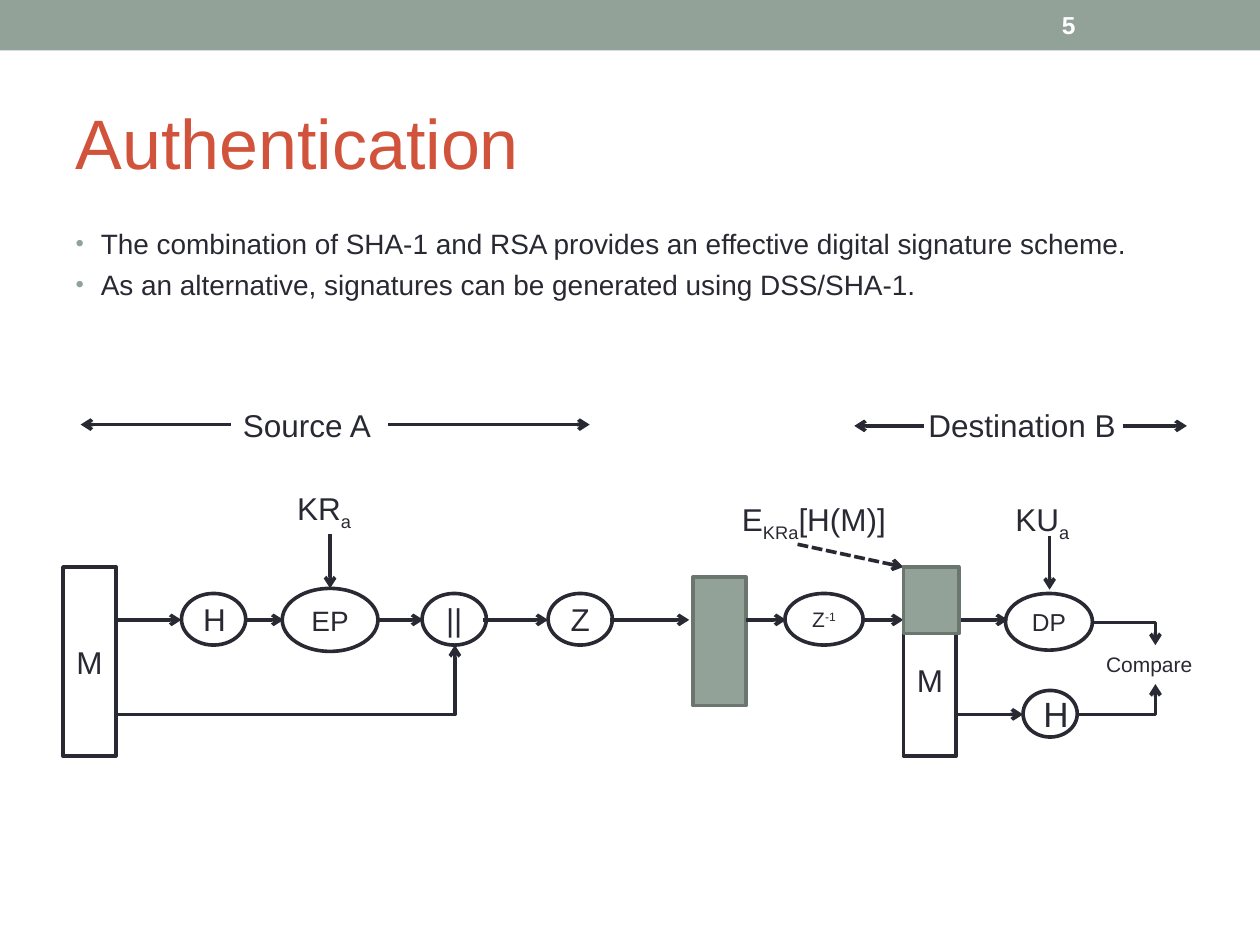
from lxml.etree import SubElement
from pptx import Presentation
from pptx.dml.color import RGBColor
from pptx.enum.dml import MSO_LINE
from pptx.enum.shapes import MSO_CONNECTOR as CONNECTOR, MSO_SHAPE as SHAPE
from pptx.enum.text import MSO_ANCHOR as ANCHOR, MSO_AUTO_SIZE as AUTO_SIZE, PP_ALIGN as ALIGN
from pptx.oxml.ns import qn
from pptx.util import Inches, Pt

INK, SAGE, SAGE_DARK, RUST, WHITE = "292934", "93A299", "6B766F", "D2533C", "FFFFFF"
MAIN_ROW, LOWER_ROW = 4.92, 5.67


def color(hex_text):
    return RGBColor.from_string(hex_text)


class Diagram:
    """Holds the style and the slide being drawn."""

    def __init__(self, page, font="Arial", line_width=2.07):
        self.page = page
        self.font = font
        self.line_width = Pt(line_width)

    def format_runs(self, paragraph, size, ink=INK, bold=False):
        for span in paragraph.runs:
            span.font.name = self.font
            span.font.size = Pt(size)
            span.font.bold = bold
            span.font.color.rgb = color(ink)

    def add_spans(self, paragraph, spans, size, ink=INK, bold=False):
        """Add a string, or (text, baseline percent) pairs, to a paragraph."""
        if isinstance(spans, str):
            spans = [(spans, 0)]
        for text, baseline in spans:
            span = paragraph.add_run()
            span.text = text
            if baseline:
                span.font._element.set("baseline", str(baseline * 1000))
        self.format_runs(paragraph, size, ink, bold)

    def place(self, item, left, top, width, height):
        item.left, item.top = Inches(left), Inches(top)
        item.width, item.height = Inches(width), Inches(height)

    def title(self, text):
        holder = self.page.shapes.title
        self.place(holder, 0.5, 0.58, 9, 1.08)
        frame = holder.text_frame
        frame.text = text
        frame.auto_size = AUTO_SIZE.NONE
        frame.vertical_anchor = ANCHOR.MIDDLE
        frame.paragraphs[0].alignment = ALIGN.LEFT
        self.format_runs(frame.paragraphs[0], 40, RUST)

    def bullets(self, items):
        holder = self.page.placeholders[1]
        self.place(holder, 0.5, 1.75, 9, 5.33)
        frame = holder.text_frame
        frame.text = "\n".join(items)
        frame.auto_size = AUTO_SIZE.NONE
        for paragraph in frame.paragraphs:
            paragraph.space_before = Pt(4)
            self.format_runs(paragraph, 16)
            props = paragraph._p.get_or_add_pPr()
            props.set("marL", str(Inches(0.2)))
            props.set("indent", str(-Inches(0.2)))
            bullet_color = SubElement(props, qn("a:buClr"))
            SubElement(bullet_color, qn("a:srgbClr"), val=SAGE)
            SubElement(props, qn("a:buSzPct"), val="85000")
            SubElement(props, qn("a:buFont"), typeface=self.font)
            SubElement(props, qn("a:buChar"), char="•")

    def node(self, kind, left, top, width, height, spans=None, size=18,
             fill=WHITE, outline=INK, margin_top=0.05):
        box = self.page.shapes.add_shape(
            kind, Inches(left), Inches(top), Inches(width), Inches(height))
        box.shadow.inherit = False
        box.fill.solid()
        box.fill.fore_color.rgb = color(fill)
        if outline:
            box.line.color.rgb = color(outline)
            box.line.width = self.line_width
        else:
            box.line.fill.background()
        if spans:
            frame = box.text_frame
            frame.margin_top = Inches(margin_top)
            frame.vertical_anchor = ANCHOR.MIDDLE
            frame.paragraphs[0].alignment = ALIGN.CENTER
            self.add_spans(frame.paragraphs[0], spans, size)

    def label(self, left, top, width, height, spans, size=18, ink=INK,
              bold=False, anchor=ANCHOR.TOP):
        box = self.page.shapes.add_textbox(
            Inches(left), Inches(top), Inches(width), Inches(height))
        frame = box.text_frame
        frame.word_wrap = True
        frame.vertical_anchor = anchor
        self.add_spans(frame.paragraphs[0], spans, size, ink, bold)

    def arrow(self, x1, y1, x2, y2, bent=False, dashed=False):
        """Draw an arrow; a bent one runs sideways first, then up or down."""
        kind = CONNECTOR.ELBOW if bent else CONNECTOR.STRAIGHT
        line = self.page.shapes.add_connector(
            kind, Inches(x1), Inches(y1), Inches(x2), Inches(y2))
        props = line._element.spPr
        if bent:
            props.find(qn("a:prstGeom")).set("prst", "bentConnector2")
        line.line.color.rgb = color(INK)
        line.line.width = self.line_width
        if dashed:
            line.line.dash_style = MSO_LINE.SQUARE_DOT
        SubElement(props.find(qn("a:ln")), qn("a:tailEnd"), type="arrow")
        SubElement(props, qn("a:effectLst"))


def main():
    deck = Presentation()
    deck.slide_width, deck.slide_height = Inches(10), Inches(7.5)
    diagram = Diagram(deck.slides.add_slide(deck.slide_layouts[1]))

    diagram.node(SHAPE.RECTANGLE, 0, 0, 10, 0.4, fill=SAGE, outline=None)
    diagram.label(8.33, 0.02, 1.17, 0.36, "5", 14, WHITE, True, ANCHOR.MIDDLE)
    diagram.title("Authentication")
    diagram.bullets([
        "The combination of SHA-1 and RSA provides an effective digital signature scheme.",
        "As an alternative, signatures can be generated using DSS/SHA-1.",
    ])

    # Messages and the compressed block
    diagram.node(SHAPE.RECTANGLE, 0.5, 4.5, 0.42, 1.5, "M")
    diagram.node(SHAPE.RECTANGLE, 5.5, 4.58, 0.42, 1.02, fill=SAGE, outline=SAGE_DARK)
    diagram.node(SHAPE.RECTANGLE, 7.17, 4.5, 0.42, 1.5, "M", margin_top=0.34)

    operations = [
        (1.44, 4.71, 0.51, 0.41, "H", 18),
        (2.24, 4.67, 0.76, 0.5, "EP", 16),
        (3.35, 4.71, 0.51, 0.41, "||", 18),
        (4.35, 4.71, 0.51, 0.41, "Z", 18),
        (6.23, 4.71, 0.62, 0.41, [("Z", 0), ("-1", 30)], 12),
        (7.98, 4.71, 0.69, 0.45, "DP", 14),
        (8.12, 5.48, 0.43, 0.37, "H", 20),
    ]
    for operation in operations:
        diagram.node(SHAPE.OVAL, *operation)

    main_flow = [(0.92, 1.44), (1.96, 2.25), (3, 3.36), (3.83, 4.35),
                 (4.84, 5.47), (5.92, 6.24), (6.84, 7.17), (7.61, 8)]
    for start, end in main_flow:
        diagram.arrow(start, MAIN_ROW, end, MAIN_ROW)
    diagram.arrow(7.6, LOWER_ROW, 8.12, LOWER_ROW)

    diagram.arrow(0.92, LOWER_ROW, 3.61, 5.12, bent=True)
    diagram.arrow(8.67, 4.94, 9.17, 5.12, bent=True)
    diagram.arrow(8.55, LOWER_ROW, 9.17, 5.43, bent=True)
    diagram.label(8.68, 5.12, 0.99, 0.3, "Compare", 12)

    # Keys and the signature
    diagram.label(2.26, 3.83, 0.79, 0.44, [("KR", 0), ("a", -25)])
    diagram.label(7.96, 3.92, 0.79, 0.44, [("KU", 0), ("a", -25)])
    diagram.label(5.79, 3.92, 1.58, 0.44, [("E", 0), ("KRa", -25), ("[H(M)]", 0)])
    diagram.arrow(2.62, 4.24, 2.62, 4.67)
    diagram.arrow(8.33, 4.25, 8.33, 4.68)
    diagram.arrow(6.33, 4.32, 7.17, 4.5, dashed=True)

    # Extent of each side
    diagram.label(1.83, 3.17, 1.31, 0.4, "Source A")
    diagram.label(7.27, 3.17, 1.73, 0.4, "Destination B")
    for start, end, y in [(3.08, 4.68, 3.37), (1.83, 0.64, 3.37),
                          (8.91, 9.42, 3.38), (7.33, 6.78, 3.38)]:
        diagram.arrow(start, y, end, y)

    diagram.node(SHAPE.RECTANGLE, 7.17, 4.5, 0.44, 0.53, fill=SAGE, outline=SAGE_DARK)
    deck.save("out.pptx")


if __name__ == "__main__":
    main()
